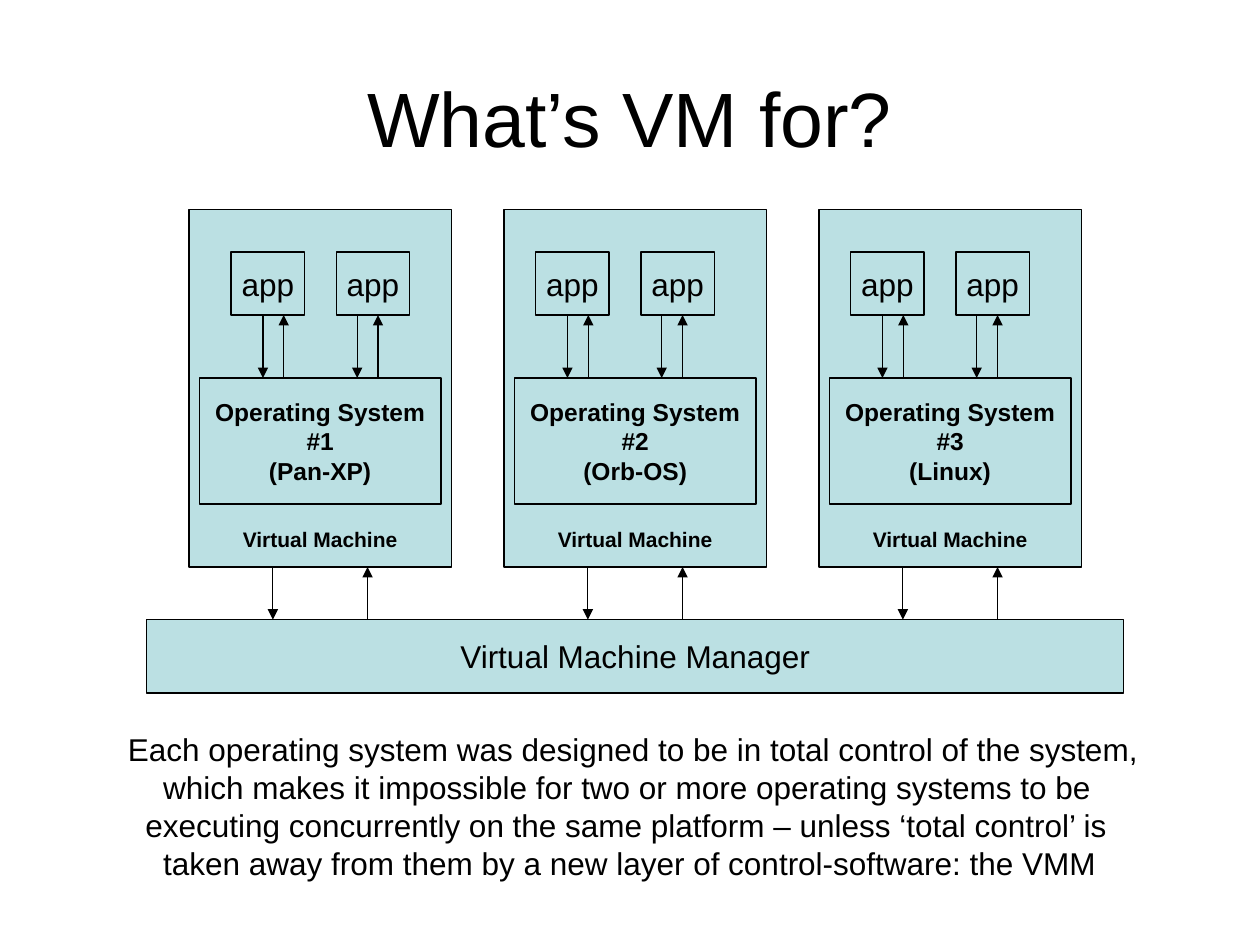
from dataclasses import dataclass

from lxml import etree
from pptx import Presentation
from pptx import util as u
from pptx.dml.color import RGBColor
from pptx.enum import shapes, text
from pptx.oxml import ns

BLACK = RGBColor(0x00, 0x00, 0x00)
PALE_TEAL = RGBColor(0xBB, 0xE0, 0xE3)
FONT = "Arial"
LINE_WIDTH = u.Pt(0.75)

# Vertical levels and horizontal spacing, in centimetres
MACHINE_TOP, MACHINE_BOTTOM = 4.23, 11.43
APP_TOP, APP_BOTTOM = 5.08, 6.35
SYSTEM_TOP, SYSTEM_BOTTOM = 7.62, 10.16
MANAGER_TOP, MANAGER_BOTTOM = 12.49, 13.97
MACHINE_WIDTH = 5.29
APP_PITCH, APP_WIDTH = 2.12, 1.48
SYSTEM_MARGIN = 0.21
APP_ARROW_PAIRS = ((0.64, 1.06), (2.54, 2.96))
MANAGER_ARROW_PAIR = (1.69, 3.6)


@dataclass(frozen=True)
class Machine:
    number: int
    system: str
    left: float
    app_inset: float


@dataclass(frozen=True)
class TextStyle:
    size: int
    bold: bool = False
    alignment: text.PP_ALIGN = text.PP_ALIGN.CENTER


MACHINES = [
    Machine(1, "Pan-XP", 3.81, 0.85),
    Machine(2, "Orb-OS", 10.16, 0.64),
    Machine(3, "Linux", 16.51, 0.64),
]

# Each line of the explanation with its left indent in centimetres
EXPLANATION = [
    ("Each operating system was designed to be in total control of the system,", 0),
    ("which makes it impossible for two or more operating systems to be", 0.71),
    ("executing concurrently on the same platform – unless ‘total control’ is", 0.35),
    ("taken away from them by a new layer of control-software: the VMM", 0.71),
]


def write_lines(frame, lines: list[str], style: TextStyle) -> None:
    for index, line in enumerate(lines):
        paragraph = frame.paragraphs[0] if index == 0 else frame.add_paragraph()
        paragraph.alignment = style.alignment
        run = paragraph.add_run()
        run.text = line
        run.font.name = FONT
        run.font.size = u.Pt(style.size)
        run.font.bold = style.bold
        run.font.color.rgb = BLACK


def add_box(slide, left: float, top: float, width: float, bottom: float,
            lines: list[str], style: TextStyle):
    shape = slide.shapes.add_shape(
        shapes.MSO_SHAPE.RECTANGLE,
        u.Cm(left), u.Cm(top), u.Cm(width), u.Cm(bottom - top))
    shape.shadow.inherit = False
    shape.fill.solid()
    shape.fill.fore_color.rgb = PALE_TEAL
    shape.line.color.rgb = BLACK
    shape.line.width = LINE_WIDTH
    shape.text_frame.word_wrap = False
    shape.text_frame.vertical_anchor = text.MSO_ANCHOR.MIDDLE
    write_lines(shape.text_frame, lines, style)
    return shape


def add_arrow(slide, x: float, start: float, end: float) -> None:
    """Draw a vertical arrow whose head is at the end level."""
    connector = slide.shapes.add_connector(
        shapes.MSO_CONNECTOR.STRAIGHT, u.Cm(x), u.Cm(start), u.Cm(x), u.Cm(end))
    connector.line.color.rgb = BLACK
    connector.line.width = LINE_WIDTH
    line = connector.line._get_or_add_ln()
    etree.SubElement(line, ns.qn("a:tailEnd"), type="triangle")
    etree.SubElement(connector._element.spPr, ns.qn("a:effectLst"))


def add_arrow_pair(slide, left: float, pair: tuple[float, float],
                   top: float, bottom: float) -> None:
    """Draw one arrow down and one arrow up between two levels."""
    down, up = pair
    add_arrow(slide, left + down, top, bottom)
    add_arrow(slide, left + up, bottom, top)


def add_machine(slide, machine: Machine) -> None:
    box = add_box(slide, machine.left, MACHINE_TOP, MACHINE_WIDTH, MACHINE_BOTTOM,
                  ["Virtual Machine"], TextStyle(12, bold=True))
    box.text_frame.vertical_anchor = text.MSO_ANCHOR.BOTTOM
    box.text_frame.margin_bottom = u.Cm(0.3)

    add_box(slide, machine.left + SYSTEM_MARGIN, SYSTEM_TOP,
            MACHINE_WIDTH - 2 * SYSTEM_MARGIN, SYSTEM_BOTTOM,
            ["Operating System", f"#{machine.number}", f"({machine.system})"],
            TextStyle(14, bold=True))

    apps_left = machine.left + machine.app_inset
    for index, pair in enumerate(APP_ARROW_PAIRS):
        add_box(slide, apps_left + index * APP_PITCH, APP_TOP, APP_WIDTH, APP_BOTTOM,
                ["app"], TextStyle(18))
        add_arrow_pair(slide, apps_left, pair, APP_BOTTOM, SYSTEM_TOP)

    add_arrow_pair(slide, machine.left, MANAGER_ARROW_PAIR, MACHINE_BOTTOM, MANAGER_TOP)


def add_title(slide) -> None:
    title = slide.shapes.add_textbox(u.Cm(1.27), u.Cm(0.76), u.Cm(22.86), u.Cm(3.18))
    title.text_frame.word_wrap = True
    title.text_frame.vertical_anchor = text.MSO_ANCHOR.MIDDLE
    write_lines(title.text_frame, ["What’s VM for?"], TextStyle(44))


def add_explanation(slide) -> None:
    box = slide.shapes.add_textbox(u.Cm(2.33), u.Cm(14.6), u.Cm(20.88), u.Cm(3.3))
    frame = box.text_frame
    frame.word_wrap = False
    frame.auto_size = text.MSO_AUTO_SIZE.SHAPE_TO_FIT_TEXT
    write_lines(frame, [line for line, _ in EXPLANATION],
                TextStyle(18, alignment=text.PP_ALIGN.LEFT))
    for paragraph, (_, indent) in zip(frame.paragraphs, EXPLANATION):
        paragraph._p.get_or_add_pPr().set("marL", str(u.Cm(indent)))


def main() -> None:
    presentation = Presentation()
    presentation.slide_width = u.Cm(25.4)
    presentation.slide_height = u.Cm(19.05)
    slide = presentation.slides.add_slide(presentation.slide_layouts[6])

    add_title(slide)
    for machine in MACHINES:
        add_machine(slide, machine)
    add_box(slide, 2.96, MANAGER_TOP, 19.69, MANAGER_BOTTOM,
            ["Virtual Machine Manager"], TextStyle(18))
    add_explanation(slide)

    presentation.save("out.pptx")


if __name__ == "__main__":
    main()
